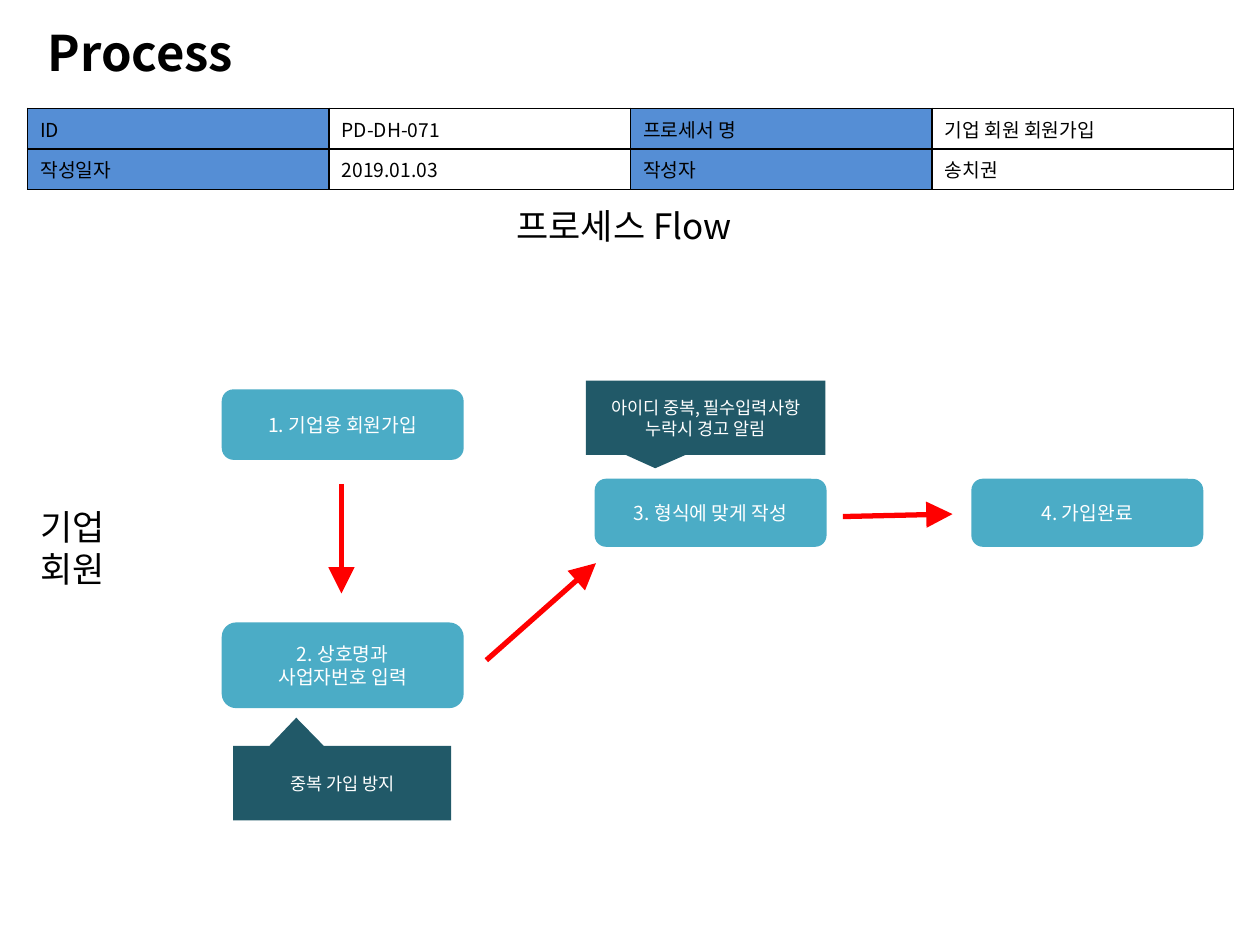
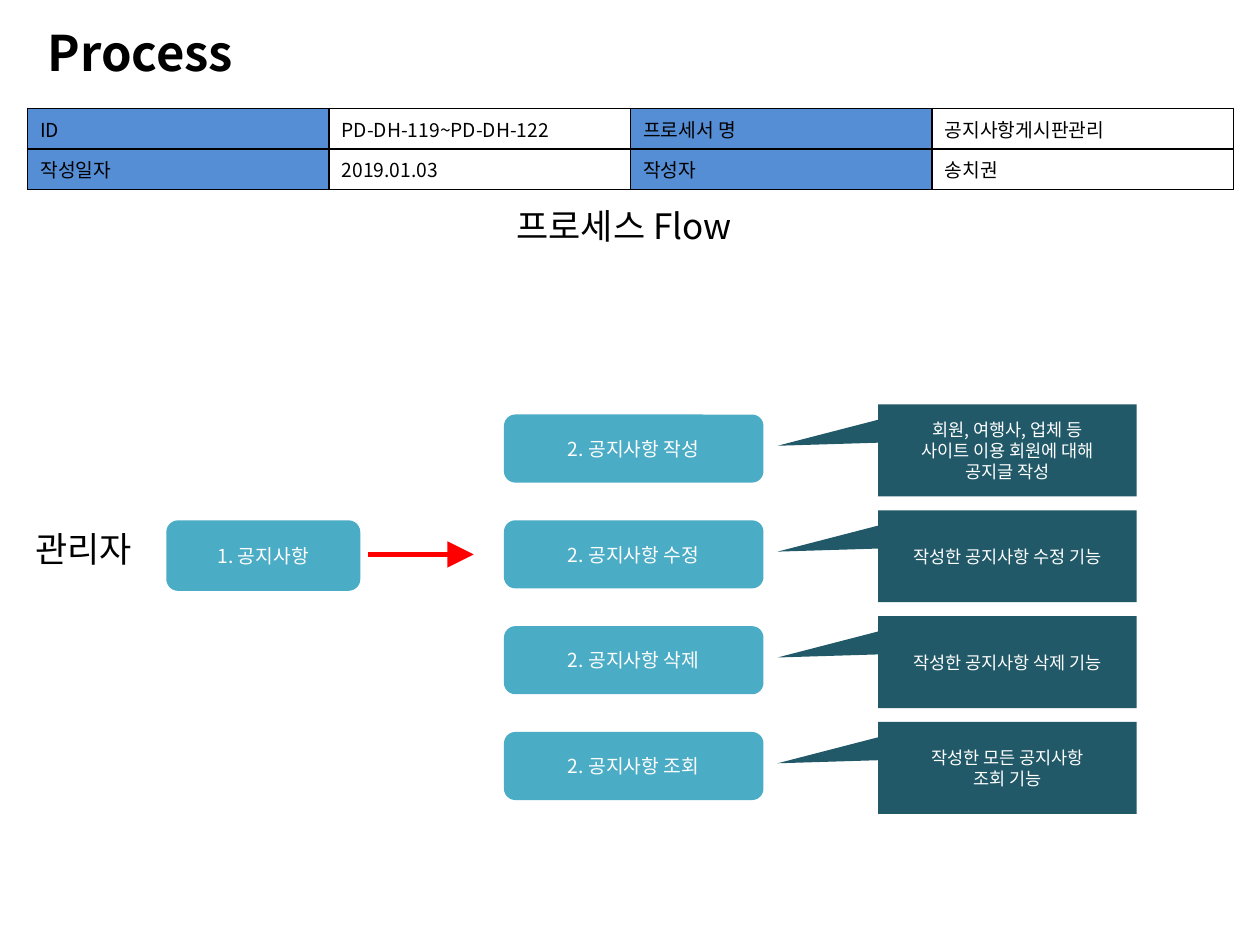
from dataclasses import dataclass

from lxml import etree
from pptx import Presentation
from pptx.dml.color import RGBColor
from pptx.enum.shapes import MSO_CONNECTOR, MSO_SHAPE
from pptx.enum.text import MSO_ANCHOR, MSO_AUTO_SIZE, PP_ALIGN
from pptx.oxml.ns import qn
from pptx.util import Inches, Pt

ROUNDED = MSO_SHAPE.ROUNDED_RECTANGLE
CALLOUT = MSO_SHAPE.RECTANGULAR_CALLOUT
STRAIGHT = MSO_CONNECTOR.STRAIGHT
TOP, MIDDLE = MSO_ANCHOR.TOP, MSO_ANCHOR.MIDDLE
LEFT, CENTER = PP_ALIGN.LEFT, PP_ALIGN.CENTER
NO_AUTOSIZE = MSO_AUTO_SIZE.NONE
TITLE_ONLY = 5


@dataclass(frozen=True)
class Theme:
    font: str = "Noto Sans CJK KR"
    black: str = "000000"
    white: str = "FFFFFF"
    header: str = "558ED5"
    step: str = "4BACC6"
    note: str = "215968"
    arrow: str = "FF0000"
    title_size: int = 28
    label_size: int = 20
    body_size: int = 11
    note_size: int = 10
    border_width: int = 1
    arrow_width: int = 3


THEME = Theme()


@dataclass(frozen=True)
class Area:
    left: float
    top: float
    width: float
    height: float

    def lengths(self) -> tuple:
        return tuple(Inches(value) for value in
                     (self.left, self.top, self.width, self.height))


@dataclass(frozen=True)
class Label:
    text: str
    area: Area


@dataclass(frozen=True)
class Step(Label):
    """A rounded process step."""


@dataclass(frozen=True)
class Note(Label):
    """A callout; the pointer is relative to the centre of its box."""
    pointer: tuple[float, float]


@dataclass(frozen=True)
class Arrow:
    start: tuple[float, float]
    end: tuple[float, float]


@dataclass(frozen=True)
class ProcessPage:
    process_id: str
    process_name: str
    actor: Label
    steps: list[Step]
    notes: list[Note]
    arrows: list[Arrow]


# Shared parts
TITLE = Label("Process", Area(0.28, 0.13, 8.98, 0.57))
FLOW_LABEL = Label("프로세스 Flow", Area(4, 1.57, 2.01, 0.44))
INFO_AREA = Area(0.22, 0.86, 9.57, 0.57)
WRITTEN_ON, AUTHOR = "2019.01.03", "송치권"

# Company sign-up
SIGN_UP = ProcessPage(
    "PD-DH-071", "기업 회원 회원가입",
    actor=Label("기업\n회원", Area(0.22, 3.96, 0.76, 0.77)),
    steps=[
        Step("1. 기업용 회원가입", Area(1.76, 3.09, 1.92, 0.56)),
        Step("2. 상호명과\n사업자번호 입력", Area(1.76, 4.94, 1.92, 0.68)),
        Step("3. 형식에 맞게 작성", Area(4.72, 3.8, 1.84, 0.54)),
        Step("4. 가입완료", Area(7.71, 3.8, 1.84, 0.54)),
    ],
    notes=[
        Note("중복 가입 방지", Area(1.85, 5.92, 1.73, 0.59), (-0.21, -0.88)),
        Note("아이디 중복, 필수입력사항\n누락시 경고 알림",
             Area(4.65, 3.02, 1.9, 0.59), (-0.21, 0.68)),
    ],
    arrows=[
        Arrow((2.71, 3.84), (2.71, 4.71)),
        Arrow((3.86, 5.24), (4.73, 4.47)),
        Arrow((6.69, 4.1), (7.56, 4.08)),
    ],
)

# Notice board: one row for each action
NOTICE_ACTIONS = [
    ("작성", "회원, 여행사, 업체 등\n사이트 이용 회원에 대해\n공지글 작성"),
    ("수정", "작성한 공지사항 수정 기능"),
    ("삭제", "작성한 공지사항 삭제 기능"),
    ("조회", "작성한 모든 공지사항\n조회 기능"),
]
ROW_PITCH = 0.84

NOTICES = ProcessPage(
    "PD-DH-119~PD-DH-122", "공지사항게시판관리",
    actor=Label("관리자", Area(0.18, 4.14, 1.06, 0.44)),
    steps=[Step("1. 공지사항", Area(1.32, 4.13, 1.54, 0.56))] + [
        Step(f"2. 공지사항 {action}",
             Area(4, 3.29 + row * ROW_PITCH, 2.06, 0.54))
        for row, (action, _) in enumerate(NOTICE_ACTIONS)
    ],
    notes=[
        Note(text, Area(6.97, 3.21 + row * ROW_PITCH, 2.05, 0.73),
             (-0.89, -0.05))
        for row, (_, text) in enumerate(NOTICE_ACTIONS)
    ],
    arrows=[Arrow((2.92, 4.4), (3.76, 4.4))],
)


def color(value: str) -> RGBColor:
    return RGBColor.from_string(value)


def write(frame, text: str, size: int, text_color: str, bold: bool = False,
          align=LEFT) -> None:
    """Fill a text frame, one paragraph for each line."""
    frame.text = text
    font_format = {"name": THEME.font, "size": Pt(size), "bold": bold}
    for paragraph in frame.paragraphs:
        paragraph.alignment = align
        for run in paragraph.runs:
            for name, value in font_format.items():
                setattr(run.font, name, value)
            run.font.color.rgb = color(text_color)
            east_asian = etree.SubElement(run.font._element, qn("a:ea"))
            east_asian.set("typeface", THEME.font)


def set_frame(frame, anchor) -> None:
    frame_format = {"word_wrap": True, "auto_size": NO_AUTOSIZE,
                    "vertical_anchor": anchor}
    for name, value in frame_format.items():
        setattr(frame, name, value)


def add_title(slide) -> None:
    title = slide.shapes.title
    title.left, title.top, title.width, title.height = TITLE.area.lengths()
    set_frame(title.text_frame, TOP)
    write(title.text_frame, TITLE.text, THEME.title_size, THEME.black, bold=True)


def add_label(slide, label: Label) -> None:
    frame = slide.shapes.add_textbox(*label.area.lengths()).text_frame
    set_frame(frame, TOP)
    write(frame, label.text, THEME.label_size, THEME.black)


def set_borders(cell) -> None:
    properties = cell._tc.get_or_add_tcPr()
    for position, side in enumerate(("lnL", "lnR", "lnT", "lnB")):
        line = etree.Element(qn(f"a:{side}"), w=str(Pt(THEME.border_width)))
        fill = etree.SubElement(line, qn("a:solidFill"))
        etree.SubElement(fill, qn("a:srgbClr"), val=THEME.black)
        properties.insert(position, line)


def add_info_table(slide, page: ProcessPage) -> None:
    rows = [("ID", page.process_id, "프로세서 명", page.process_name),
            ("작성일자", WRITTEN_ON, "작성자", AUTHOR)]
    table = slide.shapes.add_table(2, 4, *INFO_AREA.lengths()).table
    table.first_row = table.horz_banding = False
    for row, texts in enumerate(rows):
        for column, text in enumerate(texts):
            cell = table.cell(row, column)
            cell.fill.solid()
            cell.fill.fore_color.rgb = color(
                THEME.white if column % 2 else THEME.header)
            write(cell.text_frame, text, THEME.body_size, THEME.black)
            set_borders(cell)


def add_box(slide, preset, label: Label, fill: str, size: int):
    shape = slide.shapes.add_shape(preset, *label.area.lengths())
    shape.shadow.inherit = False
    shape.fill.solid()
    shape.fill.fore_color.rgb = color(fill)
    shape.line.fill.background()
    set_frame(shape.text_frame, MIDDLE)
    write(shape.text_frame, label.text, size, THEME.white, align=CENTER)
    return shape


def add_note(slide, note: Note) -> None:
    shape = add_box(slide, CALLOUT, note, THEME.note, THEME.note_size)
    for index, value in enumerate(note.pointer):
        shape.adjustments[index] = value


def add_arrow(slide, arrow: Arrow) -> None:
    points = [Inches(value) for value in (*arrow.start, *arrow.end)]
    connector = slide.shapes.add_connector(STRAIGHT, *points)
    connector.line.color.rgb = color(THEME.arrow)
    connector.line.width = Pt(THEME.arrow_width)
    etree.SubElement(connector.line._get_or_add_ln(), qn("a:tailEnd"),
                     type="triangle", w="lg", len="lg")
    etree.SubElement(connector._element.spPr, qn("a:effectLst"))


def add_page(presentation, page: ProcessPage) -> None:
    slide = presentation.slides.add_slide(presentation.slide_layouts[TITLE_ONLY])
    add_title(slide)
    add_info_table(slide, page)
    for label in (FLOW_LABEL, page.actor):
        add_label(slide, label)
    for step in page.steps:
        add_box(slide, ROUNDED, step, THEME.step, THEME.body_size)
    for note in page.notes:
        add_note(slide, note)
    for arrow in page.arrows:
        add_arrow(slide, arrow)


def main() -> None:
    presentation = Presentation()
    presentation.slide_width, presentation.slide_height = Inches(10), Inches(7.5)
    for page in (SIGN_UP, NOTICES):
        add_page(presentation, page)
    presentation.save("out.pptx")


if __name__ == "__main__":
    main()
